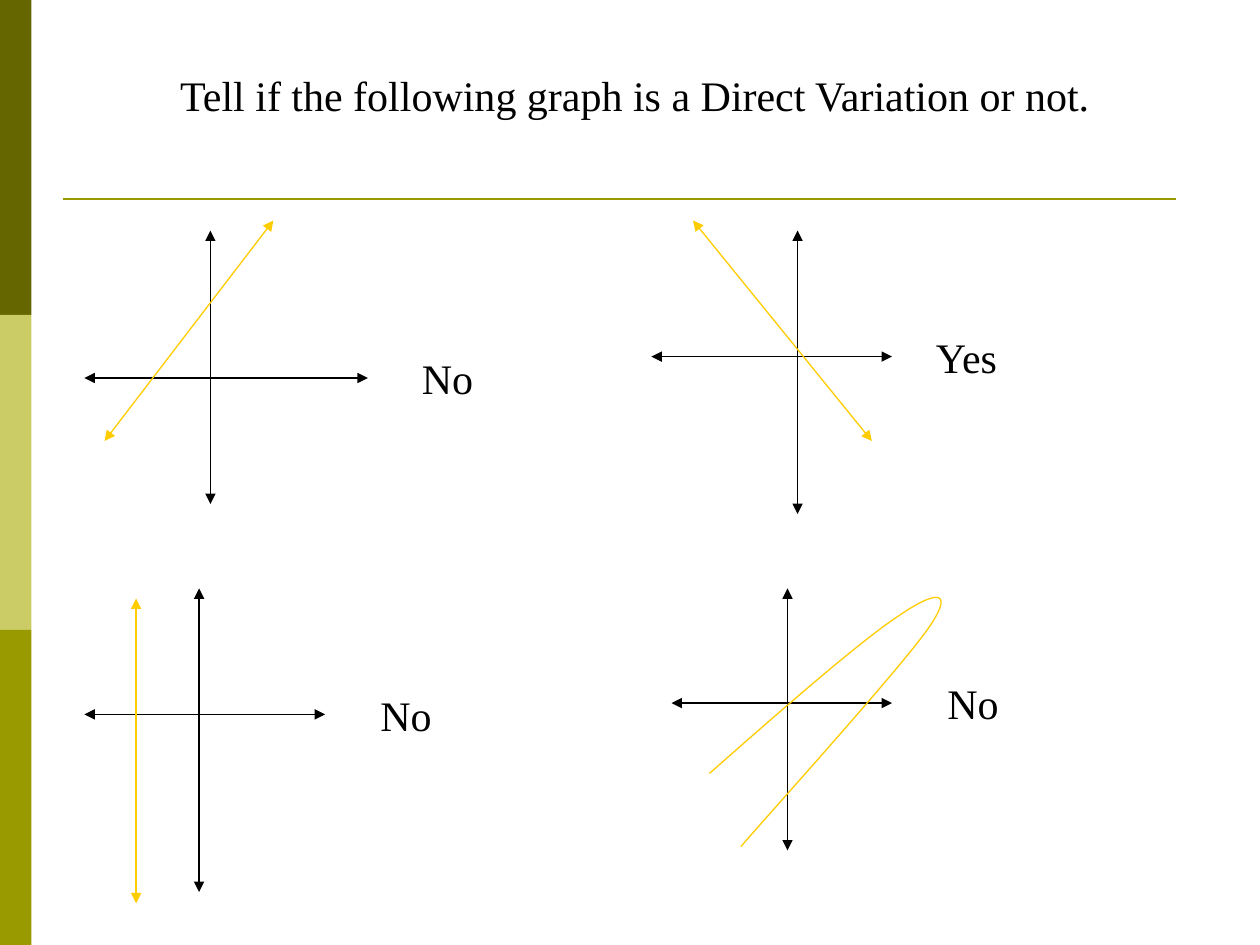
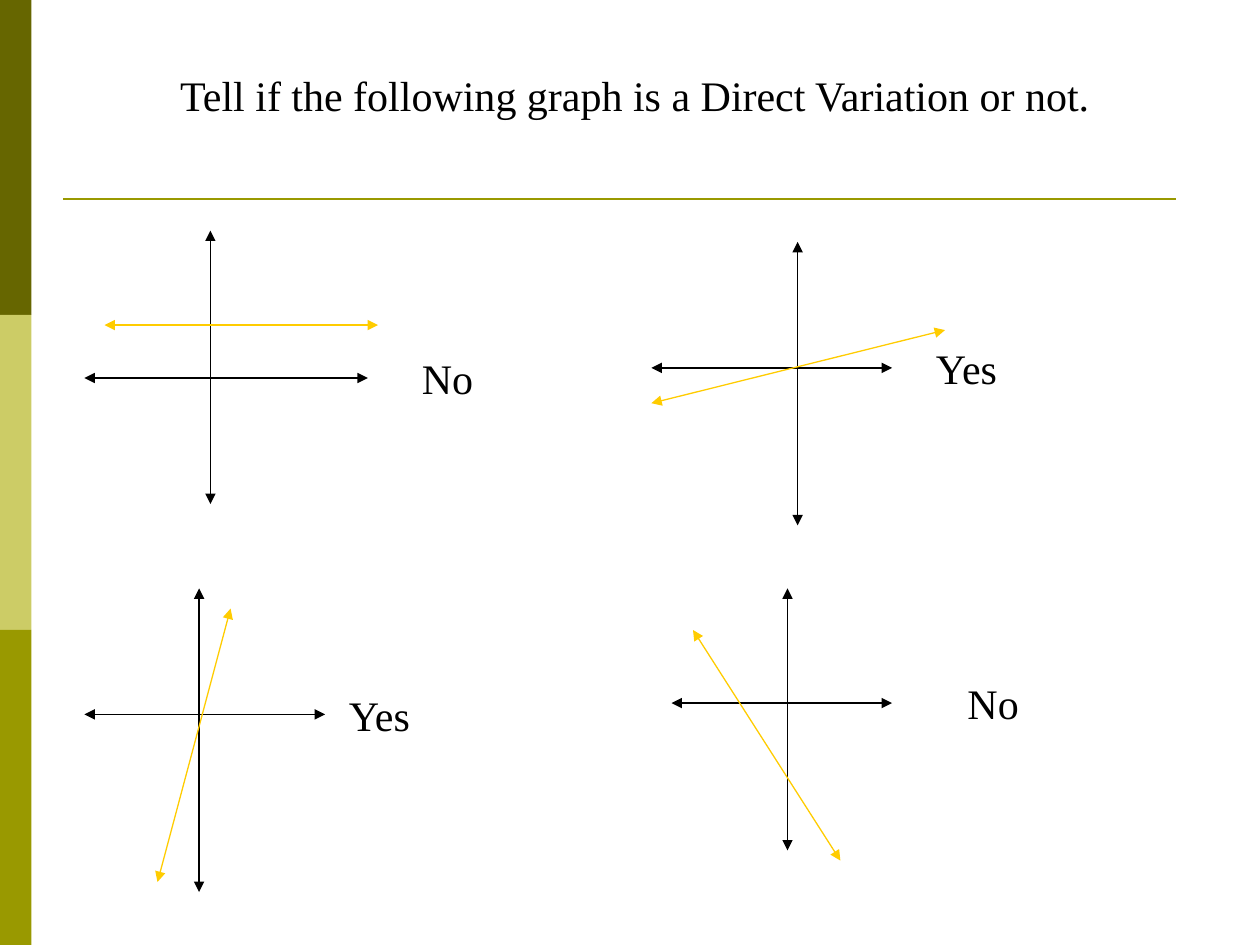
from dataclasses import dataclass, replace

from lxml.etree import SubElement
from pptx import Presentation
from pptx.dml.color import RGBColor
from pptx.enum.shapes import MSO_CONNECTOR as Connector, MSO_SHAPE as Shape
from pptx.enum.text import MSO_ANCHOR as Anchor, MSO_AUTO_SIZE as AutoSize, PP_ALIGN as Align
from pptx.oxml.ns import qn
from pptx.util import Inches, Pt

BLACK = RGBColor(0x00, 0x00, 0x00)
WHITE = RGBColor(0xFF, 0xFF, 0xFF)
DARK_OLIVE = RGBColor(0x66, 0x66, 0x00)
PALE_OLIVE = RGBColor(0xCC, 0xCC, 0x66)
OLIVE = RGBColor(0x99, 0x99, 0x00)
GOLD = RGBColor(0xFF, 0xCC, 0x00)

QUESTION = "Tell if the following graph is a Direct Variation or not."
TITLE_ONLY = 5
BAND_WIDTH, BAND_HEIGHT = 0.25, 2.5
ANSWER_HEIGHT = 0.5
CURVE_STEPS = 24


@dataclass(frozen=True)
class Axes:
    left: float
    right: float
    top: float
    bottom: float
    origin_x: float
    origin_y: float


UPPER_LEFT = Axes(0.67, 2.92, 1.83, 4, 1.67, 3)
UPPER_RIGHT = Axes(5.17, 7.08, 1.83, 4.08, 6.33, 2.83)
LOWER_LEFT = Axes(0.67, 2.58, 4.67, 7.08, 1.58, 5.67)
LOWER_RIGHT = Axes(5.33, 7.08, 4.67, 6.75, 6.25, 5.58)
UPPER_RIGHT_LOWERED = replace(UPPER_RIGHT, top=1.92, bottom=4.17, origin_y=2.92)

LOOP = [
    (5.63, 6.14),
    (6.23, 5.61), (6.84, 5.08), (7.13, 4.89),
    (7.42, 4.69), (7.58, 4.67), (7.38, 4.97),
    (7.17, 5.28), (6.13, 6.43), (5.88, 6.72),
]

SLIDES = [
    [
        (UPPER_LEFT, [(0.83, 3.5), (2.17, 1.75)], "No", 3.25, 1.17),
        (UPPER_RIGHT, [(5.5, 1.75), (6.92, 3.5)], "Yes", 7.33, 0.83),
        (LOWER_LEFT, [(1.08, 4.75), (1.08, 7.17)], "No", 2.92, 1.08),
        (LOWER_RIGHT, LOOP, "No", 7.42, 1.25),
    ],
    [
        (UPPER_LEFT, [(0.83, 2.58), (3, 2.58)], "No", 3.25, 1.17),
        (UPPER_RIGHT_LOWERED, [(5.17, 3.2), (7.5, 2.62)], "Yes", 7.33, 0.83),
        (LOWER_LEFT, [(1.83, 4.83), (1.25, 7)], "Yes", 2.67, 0.92),
        (LOWER_RIGHT, [(5.5, 5), (6.67, 6.83)], "No", 7.58, 1.25),
    ],
]


def bezier_points(controls):
    points = [controls[0]]
    for first in range(0, len(controls) - 1, 3):
        a, b, c, d = controls[first:first + 4]
        for step in range(1, CURVE_STEPS + 1):
            t = step / CURVE_STEPS
            u = 1 - t
            weights = (u ** 3, 3 * u * u * t, 3 * u * t * t, t ** 3)
            points.append(tuple(
                sum(weight * value for weight, value in zip(weights, values))
                for values in zip(a, b, c, d)
            ))
    return points


class GraphDeck:
    font = "Times New Roman"
    size = Pt(24)
    thin = 0.75

    def __init__(self):
        self.deck = Presentation()
        self.deck.slide_width = Inches(10)
        self.deck.slide_height = Inches(7.5)
        self.slide = None

    def add_page(self, title):
        self.slide = self.deck.slides.add_slide(self.deck.slide_layouts[TITLE_ONLY])
        self.slide.background.fill.solid()
        self.slide.background.fill.fore_color.rgb = WHITE
        for index, color in enumerate((DARK_OLIVE, PALE_OLIVE, OLIVE)):
            self.band(index * BAND_HEIGHT, color)
        self.line((0.5, 1.58), (9.33, 1.58), OLIVE, 1.5, arrows=False)
        box = self.slide.shapes.title
        box.left, box.top = Inches(0.75), Inches(0.5)
        box.width, box.height = Inches(8.58), Inches(0.5)
        self.fill_text(box, title, Align.CENTER)

    def fill_text(self, box, text, align):
        frame = box.text_frame
        frame.text = text
        frame.word_wrap = True
        frame.auto_size = AutoSize.NONE
        frame.vertical_anchor = Anchor.TOP
        para = frame.paragraphs[0]
        para.alignment = align
        for span in para.runs:
            span.font.name = self.font
            span.font.size = self.size
            span.font.color.rgb = BLACK

    def band(self, top, color):
        band = self.slide.shapes.add_shape(
            Shape.RECTANGLE, 0, Inches(top), Inches(BAND_WIDTH), Inches(BAND_HEIGHT))
        band.shadow.inherit = False
        band.fill.solid()
        band.fill.fore_color.rgb = color
        band.line.fill.background()

    def line(self, start, end, color, width=thin, arrows=True):
        line = self.slide.shapes.add_connector(
            Connector.STRAIGHT, *(Inches(value) for value in (*start, *end)))
        line.line.color.rgb = color
        line.line.width = Pt(width)
        properties = line._element.spPr
        if arrows:
            for tag in ("a:headEnd", "a:tailEnd"):
                SubElement(properties.find(qn("a:ln")), qn(tag), type="triangle")
        SubElement(properties, qn("a:effectLst"))

    def curve(self, controls):
        points = [(Inches(x), Inches(y)) for x, y in bezier_points(controls)]
        builder = self.slide.shapes.build_freeform(*points[0])
        builder.add_line_segments(points[1:], close=False)
        curve = builder.convert_to_shape()
        curve.shadow.inherit = False
        curve.fill.background()
        curve.line.color.rgb = GOLD
        curve.line.width = Pt(self.thin)

    def answer(self, text, left, middle, width):
        box = self.slide.shapes.add_textbox(
            Inches(left), Inches(middle - ANSWER_HEIGHT / 2),
            Inches(width), Inches(ANSWER_HEIGHT))
        self.fill_text(box, text, Align.LEFT)

    def graph(self, axes, points, answer, answer_left, answer_width):
        self.line((axes.left, axes.origin_y), (axes.right, axes.origin_y), BLACK)
        self.line((axes.origin_x, axes.top), (axes.origin_x, axes.bottom), BLACK)
        if len(points) == 2:
            self.line(*points, GOLD)
        else:
            self.curve(points)
        self.answer(answer, answer_left, axes.origin_y, answer_width)


def main():
    builder = GraphDeck()
    for graphs in SLIDES:
        builder.add_page(QUESTION)
        for graph in graphs:
            builder.graph(*graph)
    builder.deck.save("out.pptx")


if __name__ == "__main__":
    main()
